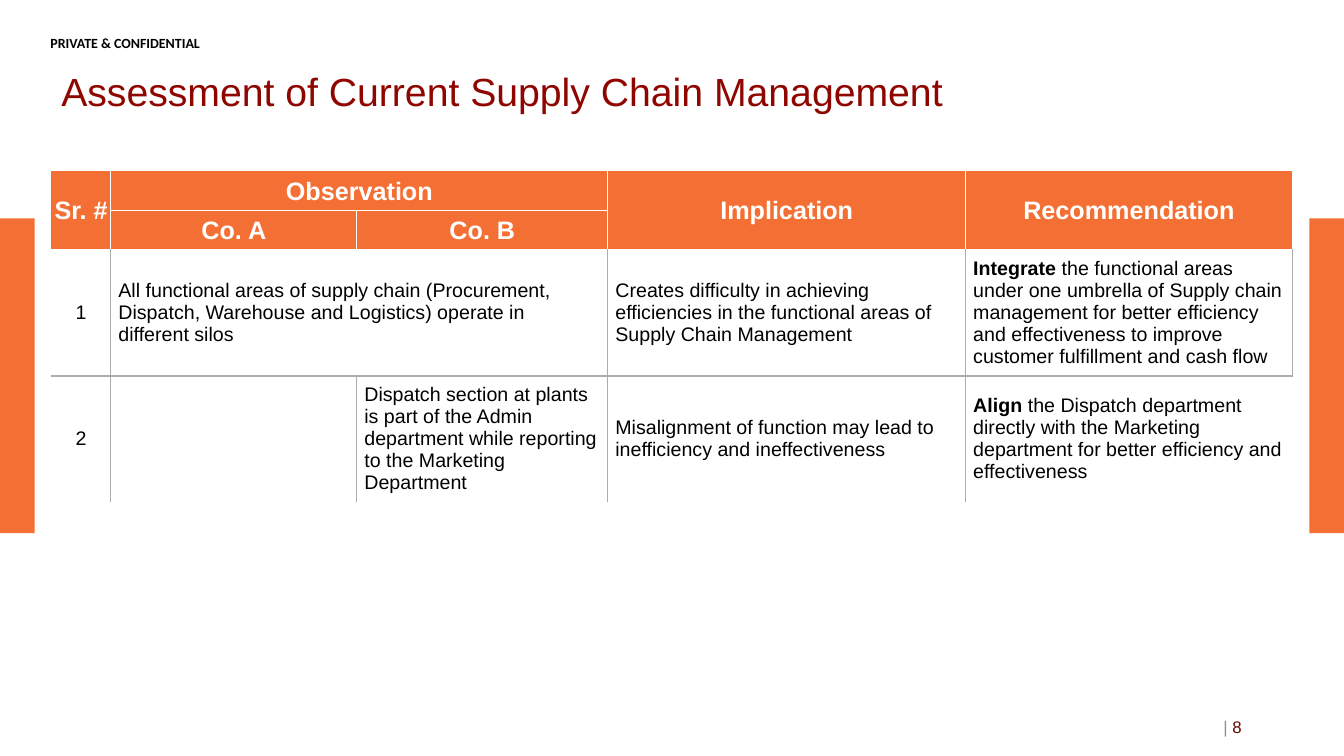
from pptx import Presentation
from pptx.dml.color import RGBColor as Rgb
from pptx.enum.shapes import MSO_SHAPE as Shape
from pptx.enum.text import MSO_ANCHOR as Anchor, PP_ALIGN as Align
from pptx.oxml import parse_xml
from pptx.oxml.ns import nsdecls
from pptx.util import Pt

WIDE, HIGH = 960, 540
ORANGE, WHITE, GRAY, BLACK = "F46F33", "FFFFFF", "AFABAB", "000000"
PLAIN = "{2D5ABB26-0587-4C30-8999-92F81FD0307C}"  # no style, no grid

LABEL = dict(font="Calibri", size=10, color=BLACK, bold=True)
TITLE = dict(size=28, color="8F0500")
HEAD = dict(size=18, color=WHITE, bold=True)
BODY = dict(size=14, color=BLACK)
STRONG = dict(BODY, bold=True)

# left, top, width, height, inset, anchor, align, line spacing, runs
TEXTS = [
    (36, 24.5, 182, 9, 0, Anchor.TOP, Align.LEFT, 1, [("PRIVATE & CONFIDENTIAL", LABEL)]),
    (678, 504.7, 216, 29, 7.2, Anchor.MIDDLE, Align.RIGHT, 1,
     [("| ", dict(size=12, color="8C8C8C")), ("8", dict(size=12, color="6A0500"))]),
    (36.7, 41.8, 782, 51, 7.2, Anchor.MIDDLE, Align.LEFT, 0.9,
     [("Assessment of Current Supply Chain Management", TITLE)]),
]

LEFT, TOP = 36.7, 122.2
COLS = [42.5, 175.7, 179.3, 255.6, 233.3]
ROWS = [28.2, 28.2, 90, 90]
HEADS = 2
SPANS = {(0, 0): (2, 1), (0, 1): (1, 2), (0, 3): (2, 1), (0, 4): (2, 1), (2, 1): (1, 2)}
# A pair is a bold lead and the rest of the sentence.
CELLS = [
    ["Sr. #", "Observation", "", "Implication", "Recommendation"],
    ["", "Co. A", "Co. B", "", ""],
    ["1",
     "All functional areas of supply chain (Procurement, Dispatch, Warehouse "
     "and Logistics) operate in different silos",
     "",
     "Creates difficulty in achieving efficiencies in the functional areas of "
     "Supply Chain Management",
     ("Integrate ",
      "the functional areas under one umbrella of Supply chain management for better "
      "efficiency and effectiveness to improve customer fulfillment and cash flow")],
    ["2",
     "",
     "Dispatch section at plants is part of the Admin department while reporting "
     "to the Marketing Department",
     "Misalignment of function may lead to inefficiency and ineffectiveness",
     ("Align ",
      "the Dispatch department directly with the Marketing department for better "
      "efficiency and effectiveness")],
]


def paint(fill, color):
    fill.solid()
    fill.fore_color.rgb = Rgb.from_string(color)


def write(para, runs, align):
    para.alignment = align
    for text, form in runs:
        run = para.add_run()
        run.text = text
        look = dict(name=form.get("font", "Arial"), size=Pt(form["size"]),
                    bold=form.get("bold", False))
        for key, value in look.items():
            setattr(run.font, key, value)
        run.font.color.rgb = Rgb.from_string(form["color"])


def rule(cell, row, col):
    """Line the sides of a cell that meet another cell."""
    high, wide = SPANS.get((row, col), (1, 1))
    end = row + high
    side = WHITE if row < HEADS else GRAY
    edges = [
        ("lnL", col > 0, side),
        ("lnR", col + wide < len(COLS), side),
        ("lnT", row > 0, WHITE if row <= HEADS else GRAY),
        ("lnB", end < len(ROWS), WHITE if end <= HEADS else GRAY),
    ]
    lines = [parse_xml(f'<a:{tag} {nsdecls("a")} w="12700"><a:solidFill>'
                       f'<a:srgbClr val="{color}"/></a:solidFill></a:{tag}>')
             for tag, shown, color in edges if shown]
    props = cell._tc.get_or_add_tcPr()
    for spot, line in enumerate(lines):
        props.insert(spot, line)


def fill_cell(cell, row, col):
    head = row < HEADS
    if head:
        paint(cell.fill, ORANGE)
    else:
        cell.fill.background()
    if cell.is_spanned:
        return
    pad = Pt(0.7 if head else 5.4)
    form = dict(vertical_anchor=Anchor.MIDDLE, margin_left=pad, margin_right=pad,
                margin_top=pad, margin_bottom=Pt(0) if head else pad)
    for key, value in form.items():
        setattr(cell, key, value)
    text = CELLS[row][col]
    if isinstance(text, tuple):
        runs = list(zip(text, (STRONG, BODY)))
    else:
        runs = [(text, HEAD if head else BODY)] if text else []
    align = Align.CENTER if head or col == 0 else Align.LEFT
    write(cell.text_frame.paragraphs[0], runs, align)
    rule(cell, row, col)


def add_bars(slide):
    wide = 24.7
    for left in (0, WIDE - wide):
        bar = slide.shapes.add_shape(Shape.RECTANGLE, Pt(left), Pt(156), Pt(wide), Pt(224.8))
        bar.shadow.inherit = False
        paint(bar.fill, ORANGE)
        bar.line.fill.background()


def add_grid(slide):
    frame = slide.shapes.add_table(len(ROWS), len(COLS), Pt(LEFT), Pt(TOP),
                                   Pt(sum(COLS)), Pt(sum(ROWS)))
    table = frame.table
    props = table._tbl.tblPr
    props[0].text = PLAIN
    table.first_row = table.horz_banding = False
    for col, width in zip(table.columns, COLS):
        col.width = Pt(width)
    for row, height in zip(table.rows, ROWS):
        row.height = Pt(height)
    for (row, col), (high, wide) in SPANS.items():
        table.cell(row, col).merge(table.cell(row + high - 1, col + wide - 1))
    for row in range(len(ROWS)):
        for col in range(len(COLS)):
            fill_cell(table.cell(row, col), row, col)


def add_texts(slide):
    for left, top, wide, high, inset, anchor, align, space, runs in TEXTS:
        frame = slide.shapes.add_textbox(Pt(left), Pt(top), Pt(wide), Pt(high)).text_frame
        form = dict(word_wrap=True, vertical_anchor=anchor,
                    margin_left=Pt(inset), margin_right=Pt(inset),
                    margin_top=Pt(inset / 2), margin_bottom=Pt(inset / 2))
        for key, value in form.items():
            setattr(frame, key, value)
        para = frame.paragraphs[0]
        para.line_spacing = space
        write(para, runs, align)


def main():
    deck = Presentation()
    deck.slide_width, deck.slide_height = Pt(WIDE), Pt(HIGH)
    slide = deck.slides.add_slide(deck.slide_layouts[6])
    add_bars(slide)
    add_grid(slide)
    add_texts(slide)
    deck.save("out.pptx")


if __name__ == "__main__":
    main()
